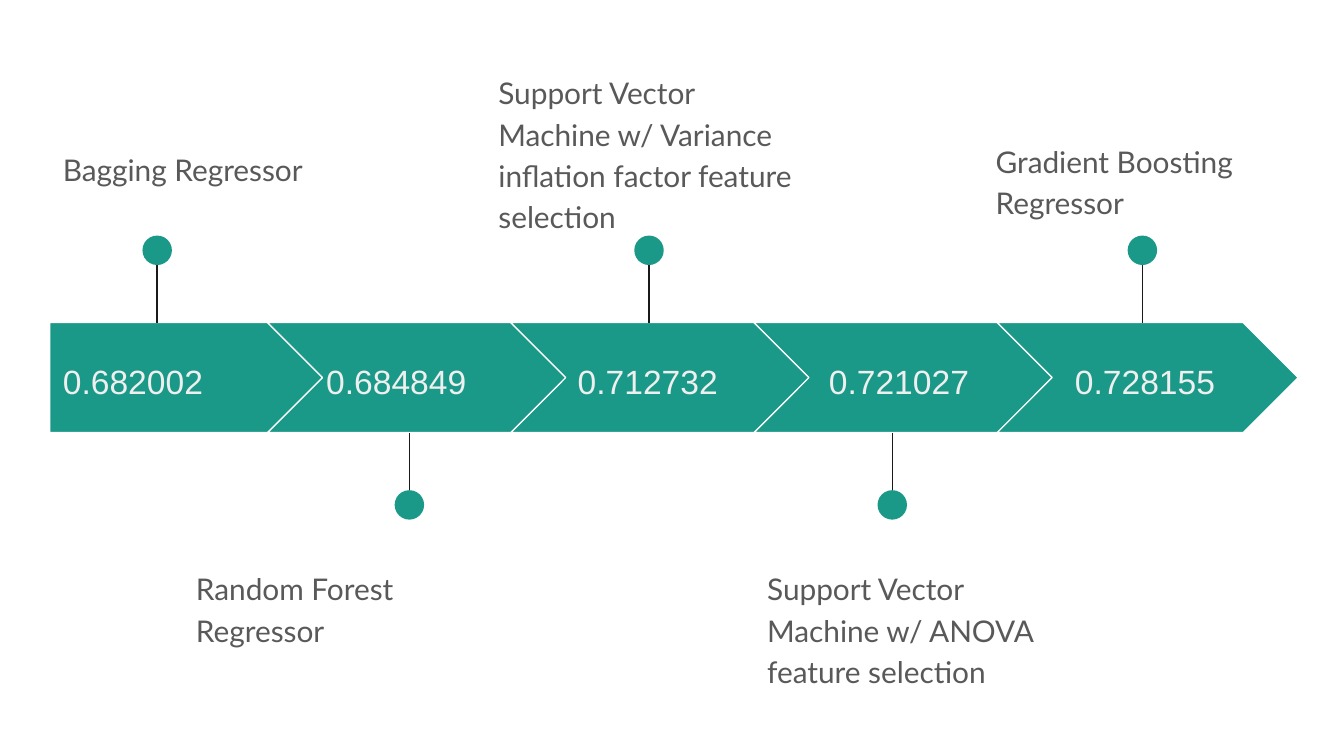
from collections import namedtuple

from lxml import etree
from pptx import Presentation
from pptx.dml.color import RGBColor
from pptx.enum.shapes import MSO_CONNECTOR, MSO_SHAPE
from pptx.enum.text import MSO_ANCHOR, PP_ALIGN
from pptx.oxml.ns import qn
from pptx.util import Pt

PENTAGON = MSO_SHAPE.PENTAGON
CHEVRON = MSO_SHAPE.CHEVRON
OVAL = MSO_SHAPE.OVAL
STRAIGHT = MSO_CONNECTOR.STRAIGHT
TOP = MSO_ANCHOR.TOP
MIDDLE = MSO_ANCHOR.MIDDLE
LEFT = PP_ALIGN.LEFT

TEAL = RGBColor(0x1A, 0x99, 0x88)
WHITE = RGBColor(0xFF, 0xFF, 0xFF)
PALE = RGBColor(0xEF, 0xEF, 0xEF)
GREY = RGBColor(0x59, 0x59, 0x59)
INK = RGBColor(0x1A, 0x1A, 0x1A)

Box = namedtuple("Box", "left top width height")
Step = namedtuple("Step", "score score_left score_width pin_x model label_left label_top")

BAND = Box(26.6, 172.8, 670, 59)
STEP_GAP = 130.3
DOT = 15.8

STEPS = [
    Step("0.682002", 0, 114.5, 57.6, "Bagging Regressor", 0, -101.5),
    Step("0.684849", 141.1, 103.7, 192.7, "Random Forest Regressor", 71.3, 123.1),
    Step("0.712732", 275.8, 103.7, 321.1,
         "Support Vector Machine w/ Variance inflation factor feature selection",
         233.3, -142.6),
    Step("0.721027", 410.4, 103.7, 451.4,
         "Support Vector Machine w/ ANOVA feature selection", 377.3, 123.1),
    Step("0.728155", 542.2, 103.7, 585.4, "Gradient Boosting Regressor", 499.7, -105.8),
]


def add_text(page, box, text, font, size, color, anchor, space_after=0):
    holder = page.shapes.add_textbox(*map(Pt, box))
    frame = holder.text_frame
    frame.word_wrap = True
    frame.vertical_anchor = anchor
    frame.margin_left = frame.margin_right = Pt(7.2)
    frame.margin_top = frame.margin_bottom = Pt(7.2)
    frame.text = text
    para = frame.paragraphs[0]
    para.alignment = LEFT
    para.line_spacing = 1.15
    para.space_after = Pt(space_after)
    span = para.runs[0]
    span.font.name = font
    span.font.size = Pt(size)
    span.font.color.rgb = color


def add_arrow(page, band, index):
    if index == 0:
        kind, left, width = PENTAGON, band.left, 147.6
    else:
        kind, left, width = CHEVRON, band.left - 13.6 + index * STEP_GAP, 161.3
    arrow = page.shapes.add_shape(kind, Pt(left), Pt(band.top), Pt(width), Pt(band.height))
    arrow.adjustments[0] = 0.5
    arrow.shadow.inherit = False
    arrow.fill.solid()
    arrow.fill.fore_color.rgb = TEAL
    arrow.line.color.rgb = WHITE
    arrow.line.width = Pt(0.75)


def add_pin(page, band, x, above):
    edge = band.top if above else band.top + band.height
    center = edge - 38.7 if above else edge + 38.7
    stem = page.shapes.add_connector(STRAIGHT, Pt(x), Pt(center), Pt(x), Pt(edge))
    stem.line.color.rgb = INK
    stem.line.width = Pt(0.75)
    etree.SubElement(stem._element.spPr, qn("a:effectLst"))
    dot = page.shapes.add_shape(OVAL, Pt(x - DOT / 2), Pt(center - DOT / 2), Pt(DOT), Pt(DOT))
    dot.shadow.inherit = False
    dot.fill.solid()
    dot.fill.fore_color.rgb = TEAL
    dot.line.fill.background()


def add_step(page, band, index, step):
    add_arrow(page, band, index)
    score_box = Box(band.left + step.score_left, band.top + 11.5, step.score_width, 36.7)
    add_text(page, score_box, step.score, "Arial", 18, PALE, MIDDLE)
    add_pin(page, band, band.left + step.pin_x, index % 2 == 0)
    label_box = Box(band.left + step.label_left, band.top + step.label_top, 176.4, 71.3)
    add_text(page, label_box, step.model, "Lato", 16, GREY, TOP, 16)


def main():
    deck = Presentation()
    deck.slide_width = Pt(720)
    deck.slide_height = Pt(405)
    page = deck.slides.add_slide(deck.slide_layouts[6])
    page.background.fill.solid()
    page.background.fill.fore_color.rgb = WHITE
    for index, step in enumerate(STEPS):
        add_step(page, BAND, index, step)
    deck.save("out.pptx")


if __name__ == "__main__":
    main()
